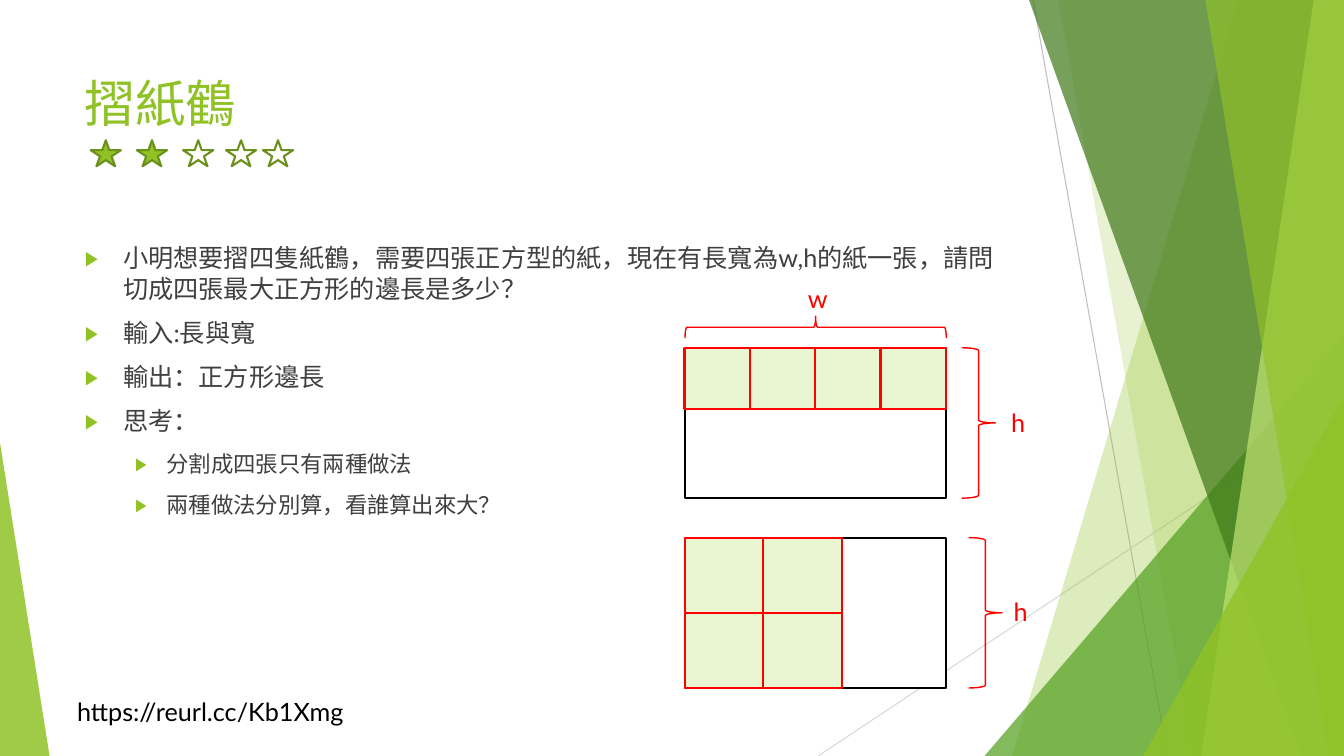
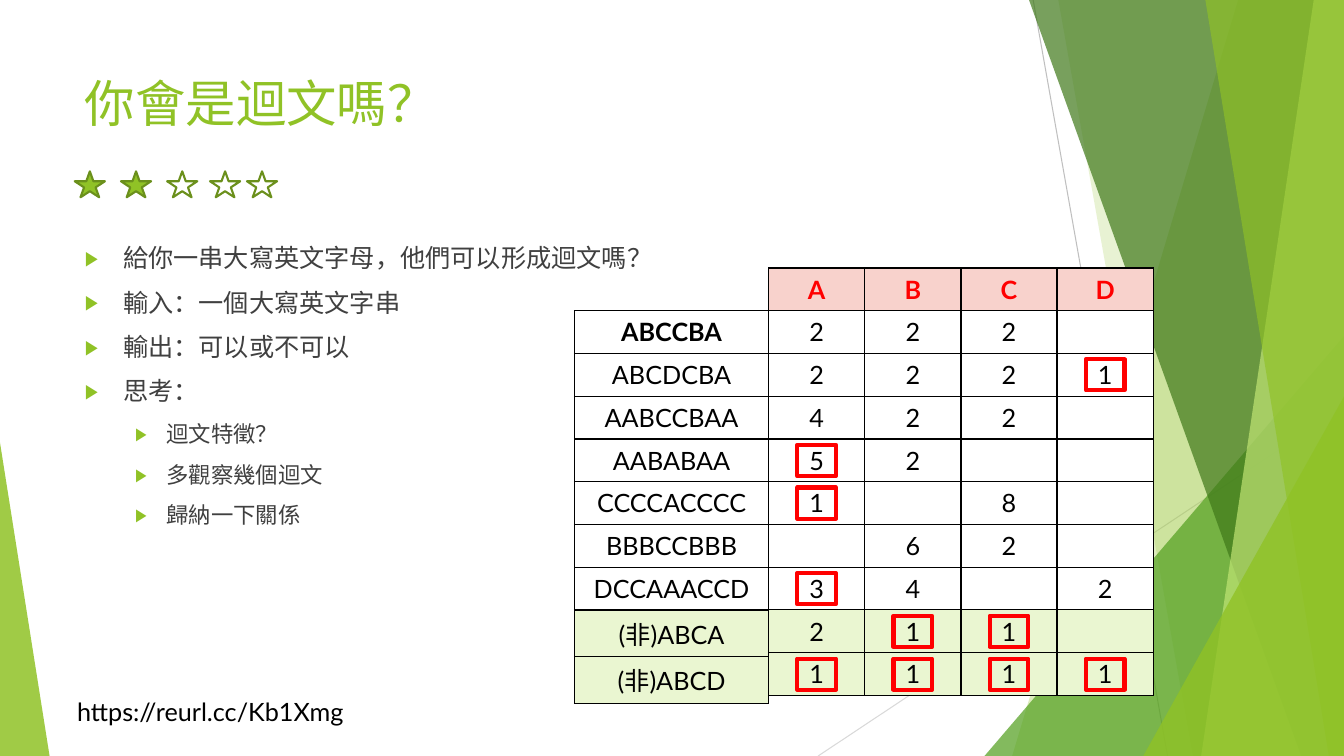
import lxml.etree
import pptx
import pptx.dml.color
import pptx.enum.shapes
import pptx.enum.text
import pptx.oxml.ns
import pptx.util

RGBColor = pptx.dml.color.RGBColor
LIME = RGBColor(0x90, 0xC2, 0x26)
GREEN = RGBColor(0x54, 0xA0, 0x21)
FOREST = RGBColor(0x3F, 0x78, 0x19)
PALE_LIME = RGBColor(0xC0, 0xE4, 0x74)
OLIVE = RGBColor(0x6B, 0x90, 0x1C)
MINT = RGBColor(0xEA, 0xF6, 0xD1)
PINK = RGBColor(0xF8, 0xD2, 0xCC)
RED = RGBColor(0xFF, 0x00, 0x00)
BLACK = RGBColor(0x00, 0x00, 0x00)
WHITE = RGBColor(0xFF, 0xFF, 0xFF)
CHARCOAL = RGBColor(0x40, 0x40, 0x40)
SILVER = RGBColor(0xBF, 0xBF, 0xBF)
LIGHT_GRAY = RGBColor(0xD9, 0xD9, 0xD9)
SHAPE = pptx.enum.shapes.MSO_SHAPE
ALIGN = pptx.enum.text.PP_ALIGN
qn = pptx.oxml.ns.qn

COLUMNS, ROWS = 160, 90
presentation = pptx.Presentation()
presentation.slide_width = pptx.util.Inches(13.333)
presentation.slide_height = pptx.util.Inches(7.5)
column_width = presentation.slide_width / COLUMNS
row_height = presentation.slide_height / ROWS


def grid(*values):
    units = (column_width, row_height) * 2
    return [pptx.util.Emu(round(value * unit)) for value, unit in zip(values, units)]


def write(paragraph, text, size, color, bold=False):
    run = paragraph.add_run()
    run.text = text
    run.font.color.rgb = color
    for name, value in {"name": "Lato", "size": pptx.util.Pt(size), "bold": bold}.items():
        setattr(run.font, name, value)


layout = presentation.slide_layouts[1]
for placeholder, box in zip(layout.placeholders, [(8.9, 8, 112.8, 17.3), (8.9, 28.3, 112.8, 50.9)]):
    for name, value in zip(("left", "top", "width", "height"), grid(*box)):
        setattr(placeholder, name, value)

lessons = [
    ("摺紙鶴", [
        (0, "小明想要摺四隻紙鶴，需要四張正方型的紙，現在有長寬為w,h的紙一張，請問切成四張最大正方形的邊長是多少？"),
        (0, "輸入:長與寬"),
        (0, "輸出：正方形邊長"),
        (0, "思考："),
        (1, "分割成四張只有兩種做法"),
        (1, "兩種做法分別算，看誰算出來大？"),
    ]),
    ("你會是迴文嗎？", [
        (0, "給你一串大寫英文字母，他們可以形成迴文嗎？"),
        (0, "輸入：一個大寫英文字串"),
        (0, "輸出：可以或不可以"),
        (0, "思考："),
        (1, "迴文特徵？"),
        (1, "多觀察幾個迴文"),
        (1, "歸納一下關係"),
    ]),
]
level_styles = [(18, 0.38, -0.38), (16, 0.81, -0.31)]

for title, points in lessons:
    slide = presentation.slides.add_slide(layout)
    for placeholder in slide.placeholders:
        placeholder.text_frame.auto_size = pptx.enum.text.MSO_AUTO_SIZE.NONE
        placeholder.text_frame.vertical_anchor = pptx.enum.text.MSO_ANCHOR.TOP
    heading = slide.shapes.title.text_frame.paragraphs[0]
    heading.alignment = ALIGN.LEFT
    write(heading, title, 36, LIME)
    body = slide.placeholders[1].text_frame
    for index, (level, text) in enumerate(points):
        paragraph = body.add_paragraph() if index else body.paragraphs[0]
        size, margin, indent = level_styles[level]
        paragraph.level = level
        paragraph.space_before = pptx.util.Pt(10 if index else 0)
        properties = paragraph._p.get_or_add_pPr()
        properties.set("marL", str(pptx.util.Inches(margin)))
        properties.set("indent", str(pptx.util.Inches(indent)))
        bullet_color = lxml.etree.SubElement(properties, qn("a:buClr"))
        lxml.etree.SubElement(bullet_color, qn("a:srgbClr"), val=str(LIME))
        lxml.etree.SubElement(properties, qn("a:buSzPct"), val="80000")
        lxml.etree.SubElement(properties, qn("a:buFont"), typeface="Lato")
        lxml.etree.SubElement(properties, qn("a:buChar"), char="▶")
        write(paragraph, text, size, CHARCOAL)

crane, palindrome = presentation.slides
backdrop = []

for start, end, color in [((123, 0), (139, 90), SILVER), ((160, 48.4), (97.4, 90), LIGHT_GRAY)]:
    connector = crane.shapes.add_connector(
        pptx.enum.shapes.MSO_CONNECTOR.STRAIGHT, *grid(*start, *end))
    connector.line.color.rgb = color
    connector.line.width = pptx.util.Pt(0.75)
    lxml.etree.SubElement(connector.element.spPr, qn("a:effectLst"))
    backdrop.append(connector)

facets = [
    ("band", (147.4, 120.5), LIME, 30),
    ("band", (126, 142), LIME, 20),
    ("right wedge", (117.2, 40), GREEN, 72),
    ("band", (122.5, 154.9), FOREST, 70),
    ("band", (156.4, 143), PALE_LIME, 70),
    ("band", (143.5, 158.2), LIME, 65),
    ("right wedge", (136.1, 47.2), LIME, 80),
    ("left wedge", (5.9, 52.7), LIME, 85),
]
for kind, (first, second), color, opacity in facets:
    if kind == "band":
        outline = [grid(*point) for point in
                   [(first, 0), (COLUMNS, 0), (COLUMNS, ROWS), (second, ROWS)]]
        builder = crane.shapes.build_freeform(*outline[0])
        builder.add_line_segments(outline[1:], close=True)
        shape = builder.convert_to_shape()
    else:
        on_right = kind == "right wedge"
        left, width = (first, COLUMNS - first) if on_right else (0, first)
        shape = crane.shapes.add_shape(
            SHAPE.ISOSCELES_TRIANGLE, *grid(left, second, width, ROWS - second))
        shape.adjustments[0] = 1 if on_right else 0
    shape.shadow.inherit = False
    shape.line.fill.background()
    shape.fill.solid()
    shape.fill.fore_color.rgb = color
    fill_color = shape.element.spPr.find(".//" + qn("a:srgbClr"))
    lxml.etree.SubElement(fill_color, qn("a:alpha"), val=str(opacity * 1000))
    backdrop.append(shape)

LABELS = [
    ("https://reurl.cc/Kb1Xmg", (8, 82.3, 36.7, 4.8), BLACK),
    ("h", (119.2, 47.9, 4.1, 4.8), RED),
    ("h", (119.5, 70.4, 4.1, 4.8), RED),
    ("w", (95, 33.1, 4.7, 4.8), RED),
]
for text, box, color in LABELS:
    label = crane.shapes.add_textbox(*grid(*box))
    label.text_frame.word_wrap = True
    write(label.text_frame.paragraphs[0], text, 18, color)
    if color == BLACK:
        backdrop.append(label)

for number, shape in enumerate(backdrop, 100):
    shape.element.xpath("./*/p:cNvPr")[0].set("id", str(number))
    layout.shapes.element.append(shape.element)

paper_left, paper_width, paper_height = 81.5, 31.1, 17.9
figures = []
for paper_top, across, down, cut_width, cut_height, brace_left in [
        (41.4, 4, 1, paper_width / 4, 7.3, 114.5),
        (64, 2, 2, 9.35, paper_height / 2, 115.3)]:
    figures.append((crane, SHAPE.RECTANGLE, (paper_left, paper_top, paper_width, paper_height),
                    WHITE, BLACK, 1.5, 0))
    for cut in range(across * down):
        row, column = divmod(cut, across)
        box = (paper_left + column * cut_width, paper_top + row * cut_height, cut_width, cut_height)
        figures.append((crane, SHAPE.RECTANGLE, box, MINT, RED, 1.5, 0))
    figures.append((crane, SHAPE.RIGHT_BRACE, (brace_left, paper_top, 4, paper_height),
                    None, RED, 1, 0))
figures.append((crane, SHAPE.RIGHT_BRACE, (95.8, 23.4, 2.6, paper_width), None, RED, 1, 270))

for slide, left, top in [(crane, 10.8, 16.7), (palindrome, 8.9, 20.4)]:
    for index, offset in enumerate([0, 5.5, 11, 16.1, 20.5]):
        figures.append((slide, SHAPE.STAR_5_POINT, (left + offset, top, 3.6, 3.1),
                        LIME if index < 2 else None, OLIVE, 1.5, 0))

words = ["ABCCBA", "ABCDCBA", "AABCCBAA", "AABABAA", "CCCCACCCC", "BBBCCBBB",
         "DCCAAACCD", "(非)ABCA", "(非)ABCD"]
counts = ["ABCD", "2220", "2221", "4220", "5200", "1080", "0620", "3402", "2110", "1111"]
counts_left, counts_top, count_width, line_height = 91.5, 31.9, 11.45, 5.09
mark_width, mark_height = 4.6, 3.7
tables = [
    ([[word] for word in words], 68.4, counts_top + line_height, 23.1, None),
    (counts, counts_left, counts_top, count_width, WHITE),
]
for rows, left, top, cell_width, plain_fill in tables:
    table = palindrome.shapes.add_table(
        len(rows), len(rows[0]),
        *grid(left, top, cell_width * len(rows[0]), line_height * len(rows))).table
    table.first_row = False
    table.horz_banding = False
    for row, values in enumerate(rows):
        for column, text in enumerate(values):
            cell = table.cell(row, column)
            cell.vertical_anchor = pptx.enum.text.MSO_ANCHOR.MIDDLE
            paragraph = cell.text_frame.paragraphs[0]
            paragraph.alignment = ALIGN.CENTER
            header = text in ("A", "B", "C", "D")
            fill = PINK if header else MINT if row >= len(rows) - 2 else plain_fill
            if fill is None:
                cell.fill.background()
            else:
                cell.fill.solid()
                cell.fill.fore_color.rgb = fill
            if text != "0":
                write(paragraph, text, 18, RED if header else BLACK, header or text == words[0])
            properties = cell._tc.get_or_add_tcPr()
            for position, edge in enumerate("LRTB"):
                border = lxml.etree.Element(qn("a:ln" + edge), w=str(pptx.util.Pt(1)))
                border_fill = lxml.etree.SubElement(border, qn("a:solidFill"))
                lxml.etree.SubElement(border_fill, qn("a:srgbClr"), val=str(BLACK))
                properties.insert(position, border)
            if text.isdigit() and int(text) % 2:
                box = (left + column * cell_width + (cell_width - mark_width) / 2,
                       top + row * line_height + (line_height - mark_height) / 2,
                       mark_width, mark_height)
                figures.append((palindrome, SHAPE.RECTANGLE, box, None, RED, 3, 0))

for slide, kind, box, fill, line, weight, rotation in figures:
    shape = slide.shapes.add_shape(kind, *grid(*box))
    shape.shadow.inherit = False
    shape.rotation = rotation
    shape.line.color.rgb = line
    shape.line.width = pptx.util.Pt(weight)
    if fill is None:
        shape.fill.background()
    else:
        shape.fill.solid()
        shape.fill.fore_color.rgb = fill

presentation.save("out.pptx")
